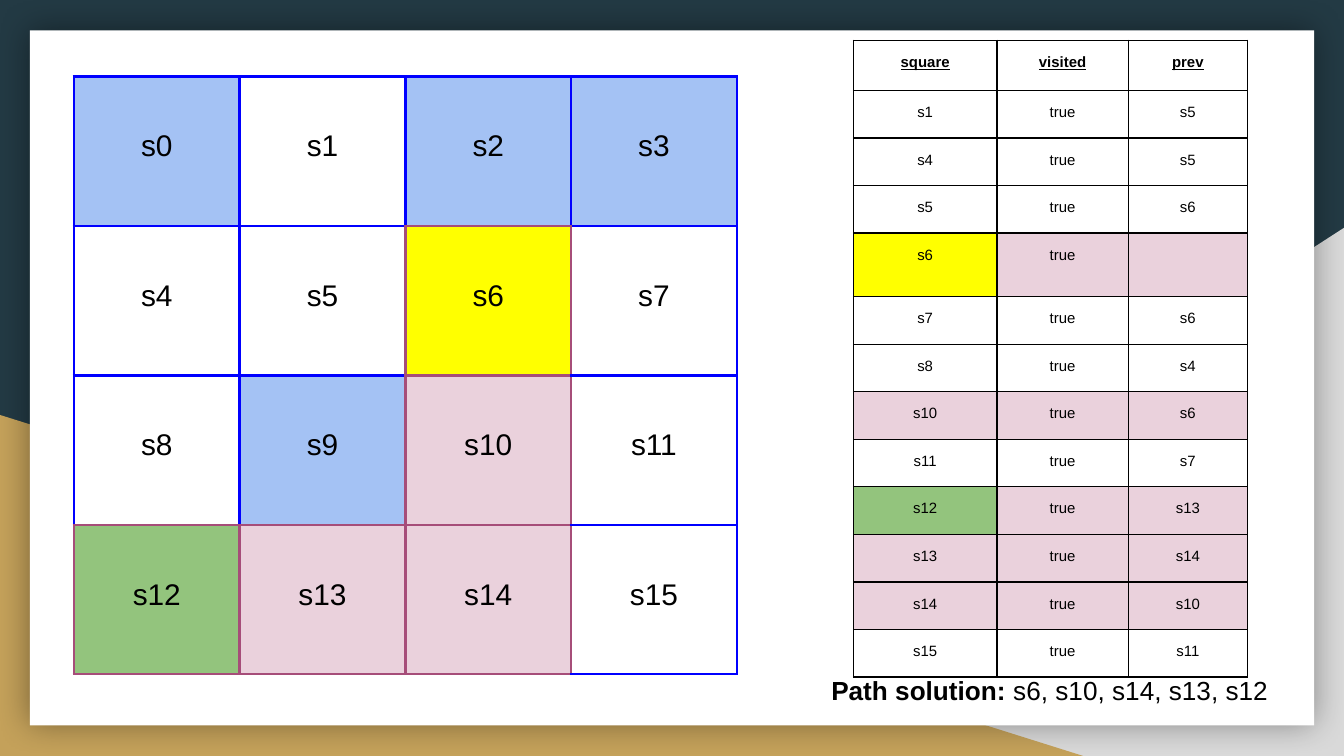
import pptx
import pptx.util
import pptx.dml.color
import pptx.enum.shapes
import pptx.enum.text
import pptx.oxml
import pptx.oxml.ns
from lxml import etree

Pt = pptx.util.Pt
SHAPE = pptx.enum.shapes.MSO_SHAPE
CENTER = pptx.enum.text.PP_ALIGN.CENTER
COLORS = {
    "navy": "233A44", "gray": "D9D9D9", "gold": "C4A15A", "white": "FFFFFF",
    "black": "000000", "wall": "A4C2F4", "start": "FFFF00", "goal": "93C47D",
    "path": "EAD1DC", "grid line": "0000FF", "path line": "A64D79",
}


def rgb(name):
    return pptx.dml.color.RGBColor.from_string(COLORS[name])


def fill_cell(cell, text, size, top, fill, borders, width, heading=False):
    """Write one centred cell; borders gives colour names for L, R, T, B."""
    cell.margin_left = cell.margin_right = cell.margin_bottom = Pt(7.2)
    cell.margin_top = Pt(top)
    properties = cell._tc.get_or_add_tcPr()
    for side, color in zip("LRTB", borders):
        properties.append(pptx.oxml.parse_xml(
            f'<a:ln{side} {pptx.oxml.ns.nsdecls("a")} w="{Pt(width)}"><a:solidFill>'
            f'<a:srgbClr val="{COLORS[color]}"/></a:solidFill></a:ln{side}>'))
    if fill:
        cell.fill.solid()
        cell.fill.fore_color.rgb = rgb(fill)
    else:
        cell.fill.background()
    paragraph = cell.text_frame.paragraphs[0]
    paragraph.alignment = CENTER
    if not text:
        end = etree.SubElement(paragraph._p, pptx.oxml.ns.qn("a:endParaRPr"))
        end.set("sz", str(size * 100))
        return
    run = paragraph.add_run()
    run.text = text
    run.font.size = Pt(size)
    run.font.name = "Arial"
    run.font.color.rgb = rgb("black")
    run.font.bold = run.font.underline = heading


prs = pptx.Presentation()
prs.slide_width, prs.slide_height = Pt(720), Pt(405)
slide = prs.slides.add_slide(prs.slide_layouts[6])
slide.background.fill.solid()
slide.background.fill.fore_color.rgb = rgb("navy")

# Backdrop: two corner triangles and the white sheet
for kind, color, left, top, width, height in [
    (SHAPE.RIGHT_TRIANGLE, "gray", 282.2, 122.1, 437.8, 282.9),
    (SHAPE.RIGHT_TRIANGLE, "gold", 0, 222.3, 580.3, 182.7),
    (SHAPE.RECTANGLE, "white", 16, 16.2, 688, 372.4),
]:
    backdrop = slide.shapes.add_shape(kind, Pt(left), Pt(top), Pt(width), Pt(height))
    backdrop.fill.solid()
    backdrop.fill.fore_color.rgb = rgb(color)
    backdrop.line.fill.background()
    backdrop.shadow.inherit = False
    if color == "gray":
        backdrop._element.spPr.xfrm.set("flipH", "1")
    if color == "white":
        backdrop._element.spPr.find(pptx.oxml.ns.qn("a:effectLst")).append(
            pptx.oxml.parse_xml(
                f'<a:outerShdw {pptx.oxml.ns.nsdecls("a")} blurRad="{Pt(18)}" dist="0" '
                'algn="ctr" rotWithShape="0"><a:srgbClr val="000000">'
                '<a:alpha val="40000"/></a:srgbClr></a:outerShdw>'))

path = [6, 10, 14, 13, 12]
square_fills = {f"s{n}": "path" for n in path} | {"s6": "start", "s12": "goal"}

# Search table
visits = [
    ("s1", "s5"), ("s4", "s5"), ("s5", "s6"), ("s6", ""), ("s7", "s6"), ("s8", "s4"),
    ("s10", "s6"), ("s11", "s7"), ("s12", "s13"), ("s13", "s14"), ("s14", "s10"),
    ("s15", "s11"),
]
search_rows = [("square", "visited", "prev")]
search_rows += [(square, "true", prev) for square, prev in visits]
column_widths = [76.9, 70.4, 63.8]
search = slide.shapes.add_table(len(search_rows), 3, Pt(457.2), Pt(21.5),
                                Pt(sum(column_widths)), Pt(341.4)).table
search.first_row = search.horz_banding = False
for column, width in zip(search.columns, column_widths):
    column.width = Pt(width)
for r, values in enumerate(search_rows):
    square = values[0]
    search.rows[r].height = Pt({"square": 27, "s6": 34.2}.get(square, 25.47))
    for c, value in enumerate(values):
        fill = square_fills.get(square)
        if fill and c > 0:
            fill = "path"
        fill_cell(search.cell(r, c), value, 8, 7.2, fill, ["black"] * 4, 0.75,
                  heading=r == 0)

# Maze: an edge takes the path colour when a path square lies on either side
walls = [0, 2, 3, 9]
maze = slide.shapes.add_table(4, 4, Pt(39.6), Pt(40.9), Pt(355.2), Pt(320.4)).table
maze.first_row = maze.horz_banding = False
for i in range(4):
    maze.columns[i].width = Pt(88.8)
    maze.rows[i].height = Pt(80.1)
for n in range(16):
    r, c = divmod(n, 4)
    neighbours = [(r, c - 1), (r, c + 1), (r - 1, c), (r + 1, c)]
    borders = ["path line" if n in path or (0 <= col < 4 and row * 4 + col in path)
               else "grid line" for row, col in neighbours]
    fill = "wall" if n in walls else square_fills.get(f"s{n}")
    fill_cell(maze.cell(r, c), f"s{n}", 16, 28.8, fill, borders, 1.5)

# Solution line
solution = slide.shapes.add_textbox(Pt(437.8), Pt(354.2), Pt(249.1), Pt(33.1)).text_frame
solution.word_wrap = True
solution.margin_left = solution.margin_right = Pt(7.2)
solution.margin_top = solution.margin_bottom = Pt(7.2)
solution.paragraphs[0].alignment = CENTER
for text, bold in [("Path solution: ", True), (", ".join(f"s{n}" for n in path), False)]:
    run = solution.paragraphs[0].add_run()
    run.text = text
    run.font.size = Pt(14)
    run.font.name = "Arial"
    run.font.bold = bold
    run.font.color.rgb = rgb("black")

prs.save("out.pptx")
